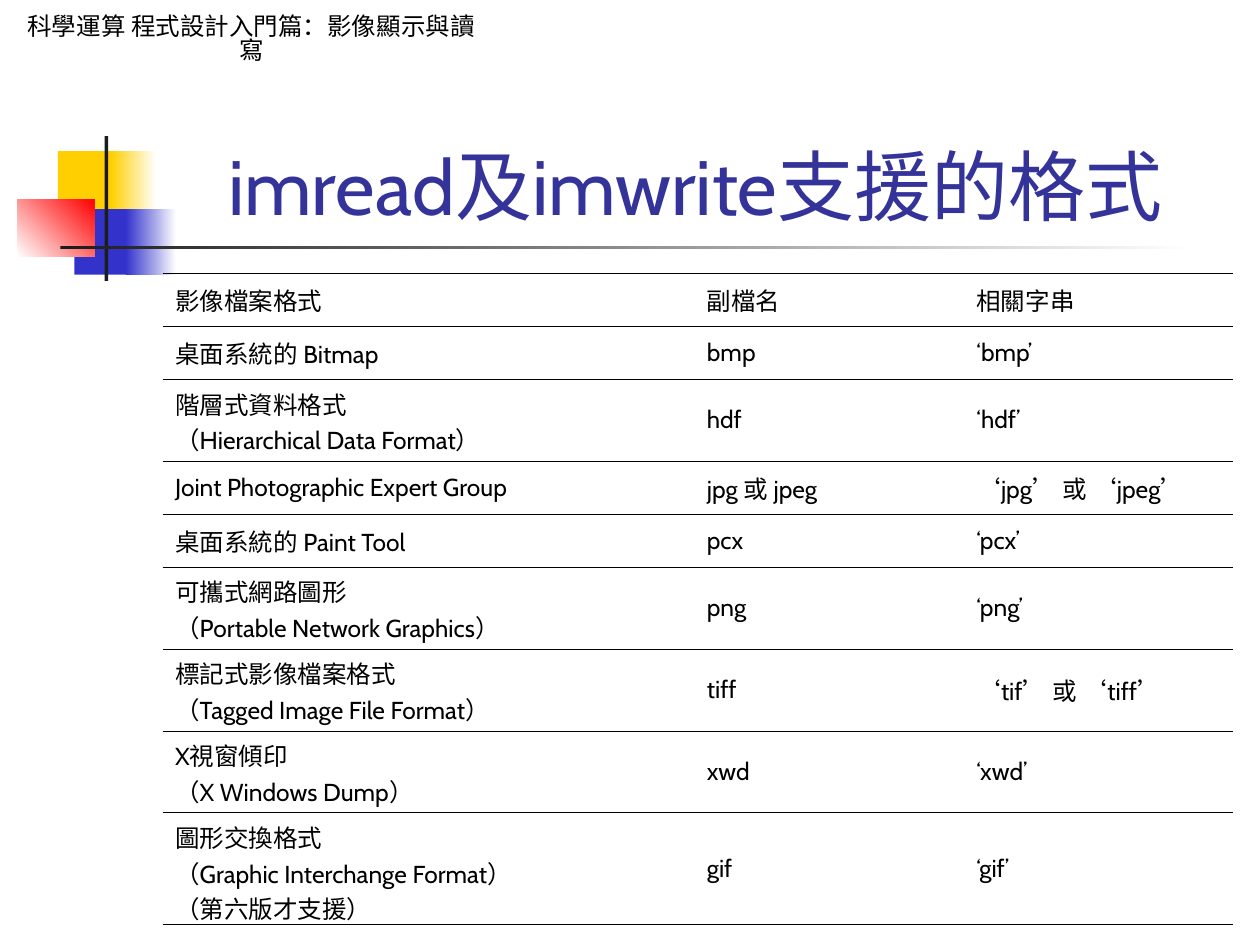
from dataclasses import dataclass

from lxml import etree
from pptx import Presentation
from pptx.dml.color import RGBColor
from pptx.enum.shapes import MSO_SHAPE
from pptx.enum.text import MSO_ANCHOR, PP_ALIGN
from pptx.oxml.ns import qn
from pptx.util import Inches, Pt

RECTANGLE = MSO_SHAPE.RECTANGLE
LEFT, CENTER = PP_ALIGN.LEFT, PP_ALIGN.CENTER
TOP, MIDDLE, BOTTOM = MSO_ANCHOR.TOP, MSO_ANCHOR.MIDDLE, MSO_ANCHOR.BOTTOM


@dataclass(frozen=True)
class Theme:
    black: str = "000000"
    white: str = "FFFFFF"
    dark: str = "1C1C1C"
    yellow: str = "FFCF01"
    blue: str = "3333CC"
    red: str = "FF0000"
    title: str = "333399"
    latin: str = "Cabin"
    asian: str = "Noto Sans CJK SC"
    title_size: int = 44
    body_size: int = 14
    heavy_line: float = 0.96
    fine_line: float = 0.06


def write_text(frame, text, *, size, color, font, asian, align=LEFT, anchor=TOP,
               hanging=0, line_spacing=None, bottom_inset=0.05):
    frame.word_wrap = True
    frame.vertical_anchor = anchor
    frame.margin_bottom = Inches(bottom_inset)
    for index, line in enumerate(text.split("\n")):
        paragraph = frame.paragraphs[0] if index == 0 else frame.add_paragraph()
        paragraph.alignment = align
        if line_spacing:
            paragraph.line_spacing = line_spacing
        if hanging:
            properties = paragraph._p.get_or_add_pPr()
            properties.set("marL", str(Inches(hanging)))
            properties.set("indent", str(-Inches(hanging)))
        run = paragraph.add_run()
        run.text = line
        run.font.size = Pt(size)
        run.font.bold = False
        run.font.color.rgb = RGBColor.from_string(color)
        run.font.name = font
        etree.SubElement(run._r.get_or_add_rPr(), qn("a:ea"), typeface=asian)


def set_borders(cell, color, top, bottom):
    properties = cell._tc.get_or_add_tcPr()
    sides = (("lnL", 0), ("lnR", 0), ("lnT", top), ("lnB", bottom))
    for index, (side, width) in enumerate(sides):
        line = etree.Element(qn(f"a:{side}"), w=str(Pt(width)))
        if width:
            fill = etree.SubElement(line, qn("a:solidFill"))
            etree.SubElement(fill, qn("a:srgbClr"), val=color)
        else:
            etree.SubElement(line, qn("a:noFill"))
        properties.insert(index, line)


class SlideBuilder:
    def __init__(self, slide, theme):
        self.slide = slide
        self.theme = theme

    def rectangle(self, box, color, fade_to=None, angle=0):
        shape = self.slide.shapes.add_shape(RECTANGLE, *map(Inches, box))
        shape.shadow.inherit = False
        shape.line.fill.background()
        if fade_to:
            shape.fill.gradient()
            shape.fill.gradient_angle = angle
            for stop, stop_color in zip(shape.fill.gradient_stops, (color, fade_to)):
                stop.color.rgb = RGBColor.from_string(stop_color)
        else:
            shape.fill.solid()
            shape.fill.fore_color.rgb = RGBColor.from_string(color)
        return shape

    def course_label(self, box, text):
        theme = self.theme
        shape = self.rectangle(box, theme.white)
        write_text(shape.text_frame, text, size=theme.body_size, color=theme.black,
                   font=theme.asian, asian=theme.asian, align=CENTER,
                   line_spacing=0.82)

    def title(self, box, text):
        theme = self.theme
        shape = self.slide.shapes.add_textbox(*map(Inches, box))
        write_text(shape.text_frame, text, size=theme.title_size, color=theme.title,
                   font=theme.latin, asian=theme.asian, align=CENTER,
                   anchor=BOTTOM, bottom_inset=0)

    def table(self, left, top, widths, heights, rows):
        theme = self.theme
        table = self.slide.shapes.add_table(
            len(rows), len(widths), Inches(left), Inches(top),
            Inches(sum(widths)), Inches(sum(heights))).table
        table.first_row = False
        table.horz_banding = False
        for column, width in zip(table.columns, widths):
            column.width = Inches(width)
        lines = [theme.fine_line] * (len(rows) + 1)
        for edge in (0, 1, -1):
            lines[edge] = theme.heavy_line
        for index, (values, height) in enumerate(zip(rows, heights)):
            table.rows[index].height = Inches(height)
            for cell, text in zip(table.rows[index].cells, values):
                cell.fill.background()
                set_borders(cell, theme.black, lines[index], lines[index + 1])
                cell.vertical_anchor = MIDDLE
                write_text(cell.text_frame, text, size=theme.body_size,
                           color=theme.black, font=theme.latin, asian=theme.asian,
                           anchor=None, hanging=0.38)


def main():
    presentation = Presentation()
    presentation.slide_width = Inches(10)
    presentation.slide_height = Inches(7.5)
    theme = Theme()
    builder = SlideBuilder(
        presentation.slides.add_slide(presentation.slide_layouts[6]), theme)

    builder.rectangle((0.46, 1.2, 0.48, 0.52), theme.yellow)
    builder.rectangle((0.88, 1.2, 0.36, 0.52), theme.yellow, theme.white)
    builder.rectangle((0.59, 1.66, 0.46, 0.52), theme.blue)
    builder.rectangle((1, 1.66, 0.4, 0.52), theme.blue, theme.white)
    builder.rectangle((0.14, 1.58, 0.61, 0.46), theme.white, theme.red, angle=45)
    builder.rectangle((0.83, 1.08, 0.03, 1.15), theme.dark)
    builder.rectangle((0.48, 1.95, 9, 0.03), theme.dark, theme.white)

    builder.course_label((0.08, 0.08, 3.83, 0.57), "科學運算 程式設計入門篇：影像顯示與讀寫")
    builder.title((1.26, 0.23, 8.52, 1.6), "imread及imwrite支援的格式")

    formats = [
        ("影像檔案格式", "副檔名", "相關字串"),
        ("桌面系統的 Bitmap", "bmp", "‘bmp’"),
        ("階層式資料格式\n（Hierarchical Data Format）", "hdf", "‘hdf’"),
        ("Joint Photographic Expert Group", "jpg 或 jpeg", "‘jpg’ 或 ‘jpeg’"),
        ("桌面系統的 Paint Tool", "pcx", "‘pcx’"),
        ("可攜式網路圖形\n（Portable Network Graphics）", "png", "‘png’"),
        ("標記式影像檔案格式\n（Tagged Image File Format）", "tiff", "‘tif’ 或 ‘tiff’"),
        ("X視窗傾印\n（X Windows Dump）", "xwd", "‘xwd’"),
        ("圖形交換格式\n（Graphic Interchange Format）\n（第六版才支援）", "gif", "‘gif’"),
    ]
    height_by_lines = {1: 0.42, 2: 0.65, 3: 0.89}
    heights = [height_by_lines[len(name.split("\n"))] for name, *_ in formats]
    builder.table(1.29, 2.17, (4.22, 2.14, 2.14), heights, formats)

    presentation.save("out.pptx")


if __name__ == "__main__":
    main()
